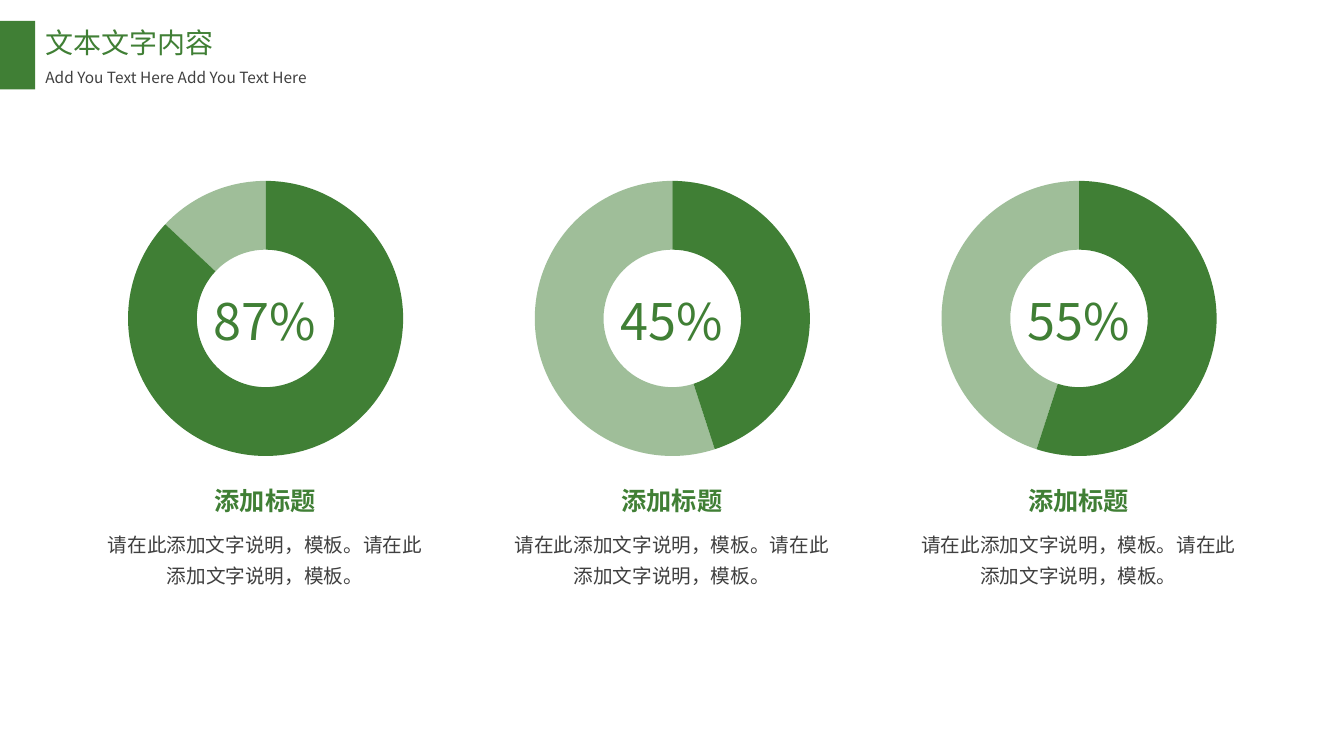
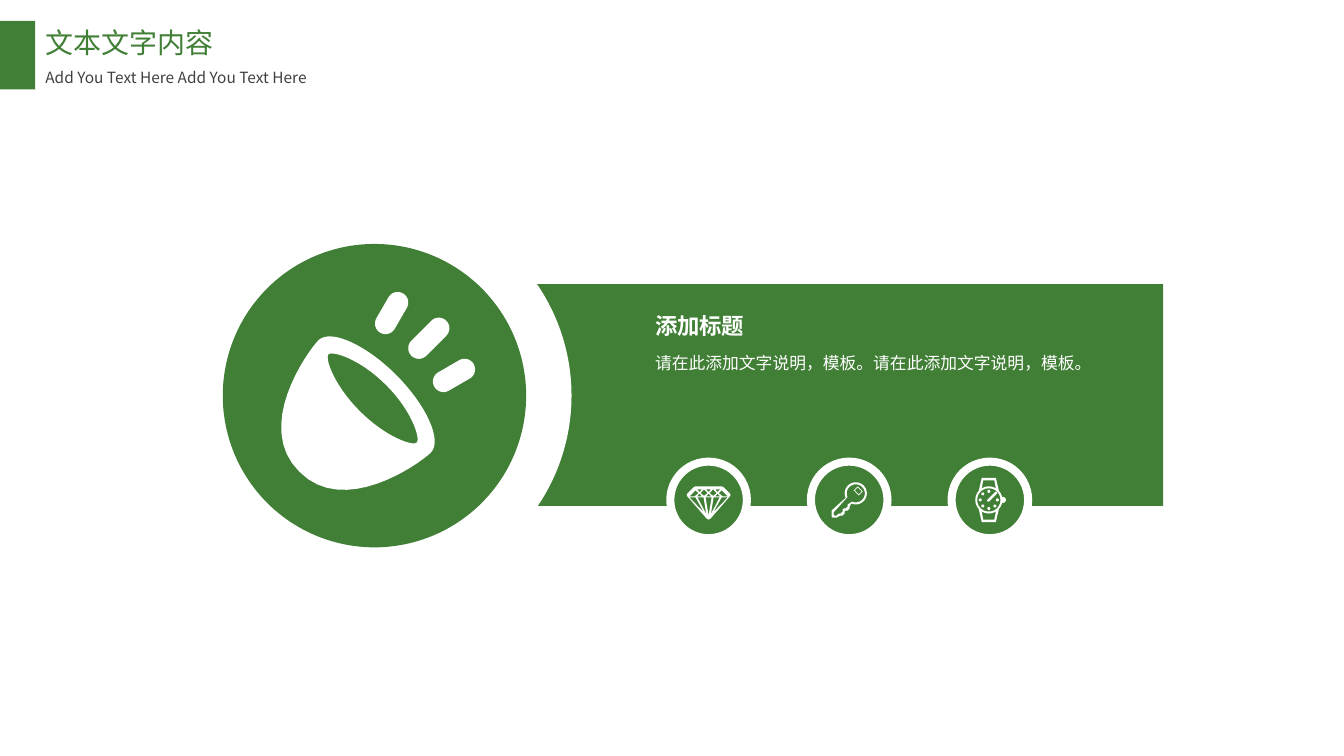
from dataclasses import dataclass
from itertools import product
from math import atan2, cos, degrees, radians, sin
from lxml.etree import SubElement
from pptx import Presentation
from pptx.chart.data import CategoryChartData as Data
from pptx.dml.color import RGBColor as RGB
from pptx.enum.chart import XL_CHART_TYPE as Kind
from pptx.enum.shapes import MSO_SHAPE as Form
from pptx.enum.text import MSO_ANCHOR as Anchor, MSO_AUTO_SIZE as Fit, PP_ALIGN as Align
from pptx.oxml.ns import qn
from pptx.util import Inches, Pt


@dataclass(frozen=True)
class Theme:
    green: RGB = RGB(0x40, 0x7F, 0x35)
    white: RGB = RGB(255, 255, 255)
    gray: RGB = RGB(0x40, 0x40, 0x40)
    black: RGB = RGB(0, 0, 0)
    face: str = "Noto Sans CJK SC"
    plain: str = "Calibri"
    huge: int = 36
    title: int = 20
    head: int = 18
    lead: int = 16
    body: int = 14
    note: int = 12
    small: int = 11
    loose: float = 1.3
    rim: float = 5.75


@dataclass(frozen=True)
class Box:
    left: float
    top: float
    wide: float
    high: float

    def sub(self, left, top, wide, high):
        return Box(self.left + left, self.top + top, wide, high)

    def mid(self):
        return self.left + self.wide / 2, self.top + self.high / 2

    def emu(self):
        return [cell(n) for n in (self.left, self.top, self.wide, self.high)]


def cell(count):
    return Inches(count / 10)


THEME = Theme()
PAGE = Box(0, 0, 133.33, 75)
LABEL = "添加标题"
BLURB = "请在此添加文字说明，模板。" * 2


def write(shape, text, size, color, bold=False, align=Align.LEFT, space=1.0,
          wrap=True, fit=Fit.SHAPE_TO_FIT_TEXT, anchor=Anchor.TOP):
    frame = shape.text_frame
    frame.word_wrap, frame.auto_size, frame.vertical_anchor = wrap, fit, anchor
    para = frame.paragraphs[0]
    para.alignment, para.line_spacing = align, space
    para.space_before = Pt(0)
    run = para.add_run()
    run.text = text
    font = run.font
    font.size, font.bold, font.name = Pt(size), bold, THEME.face
    font.color.rgb = color
    SubElement(run._r.get_or_add_rPr(), qn("a:ea"), typeface=THEME.face)


def label(slide, box, *args, **style):
    write(slide.shapes.add_textbox(*box.emu()), *args, **style)


def paint(shape, fill, rim=None):
    shape.shadow.inherit = False
    shape.fill.solid()
    shape.fill.fore_color.rgb = fill
    if rim:
        shape.line.color.rgb = rim
        shape.line.width = Pt(THEME.rim)
    else:
        shape.line.fill.background()


def block(slide, form, box, fill, rim=None):
    paint(slide.shapes.add_shape(form, *box.emu()), fill, rim)


def disc(slide, mid, radius, fill, rim=None):
    x, y = mid
    block(slide, Form.OVAL, Box(x - radius, y - radius, 2 * radius, 2 * radius), fill, rim)


def polar(radius, turn):
    return radius * cos(radians(turn)), radius * sin(radians(turn))


def shift(points, x, y):
    return [(a + x, b + y) for a, b in points]


def arc(radius, start, end, steps=24):
    return [polar(radius, start + (end - start) * i / steps) for i in range(steps + 1)]


def pill(foot, tip, radius):
    turn = degrees(atan2(tip[1] - foot[1], tip[0] - foot[0]))
    back = arc(radius, turn + 90, turn + 270)
    front = arc(radius, turn - 90, turn + 90)
    return shift(back, *foot) + shift(front, *tip)


def curve(start, *bends, steps=16):
    points = [start]
    for bend in bends:
        knots = [points[-1], bend[:2], bend[2:4], bend[4:]]
        for i in range(1, steps + 1):
            t = i / steps
            parts = ((1 - t) ** 3, 3 * t * (1 - t) ** 2, 3 * t * t * (1 - t), t ** 3)
            points.append(tuple(sum(p * k[a] for p, k in zip(parts, knots)) for a in (0, 1)))
    return points


def mirror(half):
    return half + [(-x, y) for x, y in reversed(half)]


def fold(half):
    return half + [(-y, -x) for x, y in reversed(half)]


def draw(slide, mid, loops):
    fine = 100
    pen = None
    for loop in loops:
        first, *rest = [(x * fine, y * fine) for x, y in loop]
        if pen:
            pen.move_to(*first)
        else:
            pen = slide.shapes.build_freeform(*first, scale=cell(0.1) / fine)
        pen.add_line_segments(rest, close=True)
    paint(pen.convert_to_shape(*(cell(n) for n in mid)), THEME.white)


def gem(slide, mid):
    table, belt, tip = -10.5, -3, 19.5
    pitch, half = 9, 2.5
    waist = (table + belt) / 2
    loops = [mirror([(0, tip), (2, tip - 1), (21.5, belt - 1), (21.5, belt - 3),
                     (15, table - 2), (13, table - 3)])]
    for col in (-pitch, 0, pitch):
        for edge, peak in ((table, waist - 1), (belt - 0.5, waist + 0.5)):
            loops.append([(col - half, edge), (col + half, edge), (col, peak)])
    for side in (-1, 1):
        col = side * pitch / 2
        loops.append([(col - 3.5, waist), (col, table), (col + 3.5, waist), (col, belt - 1)])
        loops.append([(side * x, y) for x, y in
                      ((10, waist), (13, table + 1), (19, belt - 0.5), (14, belt - 0.5))])
    for i in range(-2, 3):
        col = 8 * i
        loops.append([(col - 3, belt + 0.5), (col + 3, belt + 0.5),
                      (2.3 * i, tip - 4 - 1.5 * abs(i))])
    draw(slide, mid, loops)


def key(slide, mid):
    def blade(inset):
        points = arc(11 - inset, 156, 474)
        for step in (0, 5):
            notch = [(-6, 13), (-6, 15), (-8, 17), (-10, 17)]
            points += shift(notch, -step - inset, step - inset)
        left, foot = inset - 24, 24 - inset
        return points + [(-19, foot), (left + 1, foot), (left, foot - 1), (left, 17 + inset)]

    def slot(long, wide):
        corners = ((1, 1), (1, -1), (-1, -1), (-1, 1))
        return [(2.5 + a * long + b * wide, -2.5 + a * long - b * wide) for a, b in corners]

    loops = [blade(0), blade(2), slot(2.5, 2), slot(2, 1.5)]
    draw(slide, mid, [shift(loop, 6.5, -6.5) for loop in loops])


def watch(slide, mid):
    x, y = mid[0] - 0.1, mid[1]
    straps = []
    for side, (base, end, tall) in product((-1, 1), ((10, 7, 22), (7.5, 5.5, 19.5))):
        straps.append(mirror([(base, side * 9), (end, side * tall)]))
    draw(slide, (x, y), straps)
    disc(slide, (x + 1.4, y), 0.3, THEME.white)
    disc(slide, (x, y), 1.35, THEME.white)
    disc(slide, (x, y), 1.15, THEME.green)
    hand = -45
    for turn in range(0, 360, 45):
        if turn != hand % 360:
            a, b = polar(0.85, turn)
            disc(slide, (x + a, y + b), 0.15, THEME.white)
    draw(slide, (x, y), [pill((-0.5, 0.5), polar(10, hand), 1.2)])


def bowl(slide, mid):
    shell = curve((21, -21), (-9, -51, -44, -67, -56, -55.5), (-68, -43, -120, 31, -75, 75))
    mouth = curve((11, -11), (-15, -37, -42, -45, -46, -41.5), (-50, -38, -41, -11, -15, 15))
    loops = [fold(shell), fold(mouth)]
    for x, y, turn, length in ((10.5, -72, -60, 24), (43.5, -47.5, -45, 28), (68, -14.5, -30, 24)):
        a, b = polar(length, turn)
        loops.append(pill((x, y), (x + a, y + b), 10.5))
    draw(slide, (mid[0] + 0.05, mid[1] + 0.05), loops)


def banner(slide, box):
    title, note = slide.shapes.title, slide.placeholders[1]
    for shape, spot in ((title, box.sub(3.5, 0, 18.8, 4.4)), (note, box.sub(3.5, 3.6, 30.6, 3.4))):
        shape.left, shape.top, shape.width, shape.height = spot.emu()
    write(title, "文本文字内容", THEME.title, THEME.green, wrap=False)
    write(note, "Add You Text Here Add You Text Here", THEME.small, THEME.gray, space=THEME.loose)
    block(slide, Form.RECTANGLE, box.sub(0, 0, 3.5, 6.8), THEME.green)


def settle(chart, wide, high):
    area = next(chart._chartSpace.iter(qn("c:plotArea")))
    place = area.find(qn("c:layout"))
    if place is None:
        place = SubElement(area, qn("c:layout"))
        area.insert(0, place)
    rule = SubElement(place, qn("c:manualLayout"))
    for tag, val in (("layoutTarget", "inner"), ("xMode", "edge"), ("yMode", "edge"),
                     ("x", (1 - wide) / 2), ("y", (1 - high) / 2), ("w", wide), ("h", high)):
        SubElement(rule, qn("c:" + tag), val=str(val))


def ring(slide, box, share):
    data = Data()
    data.categories = ["1", "2"]
    data.add_series("Series 1", (share, 100 - share))
    chart = slide.shapes.add_chart(Kind.DOUGHNUT, *box.emu(), data).chart
    chart.has_legend = chart.has_title = False
    font = chart.font
    font.size, font.name, font.color.rgb = Pt(THEME.head), THEME.plain, THEME.black
    plot = chart.plots[0]
    plot.vary_by_categories = False
    series = plot.series[0]
    for i in range(2):
        look = series.points[i].format
        look.fill.solid()
        look.fill.fore_color.rgb = THEME.green
        look.line.fill.background()
    rest = list(series._element.iter(qn("a:srgbClr")))[-1]
    SubElement(rest, qn("a:alpha"), val="50000")
    next(chart._chartSpace.iter(qn("c:holeSize"))).set("val", "82")
    across = 27.3
    settle(chart, across / box.wide, across / box.high)


def column(slide, box, share):
    mid = Align.CENTER
    ring(slide, box.sub(0, 0, box.wide, 30), share)
    label(slide, box.sub(9.8, 12.3, 19, 5.7), f"{share}%", THEME.huge, THEME.green,
          align=mid, fit=Fit.NONE, anchor=Anchor.MIDDLE)
    label(slide, box.sub(13.3, 31.1, 12, 4), LABEL, THEME.head, THEME.green, bold=True, align=mid)
    label(slide, box.sub(2.6, 35.1, 33.4, 7.1), BLURB, THEME.body, THEME.gray,
          align=mid, space=THEME.loose)


def rings(slide, box):
    for i, share in enumerate((87, 45, 55)):
        column(slide, box.sub(40.35 * i, 0, 38.7, box.high), share)


def panel(slide, box):
    block(slide, Form.RECTANGLE, box, THEME.green)
    for i, icon in enumerate((gem, key, watch)):
        mid = box.sub(13.4 + 13.95 * i, 17.6, 7.6, 7.6).mid()
        disc(slide, mid, 3.8, THEME.green, THEME.white)
        icon(slide, mid)
    hub = box.sub(-35.5, -8.5, 39.1, 39.1).mid()
    for radius, fill in ((19.55, THEME.white), (15.05, THEME.green)):
        disc(slide, hub, radius, fill)
    label(slide, box.sub(10.9, 2.3, 12, 3.7), LABEL, THEME.lead, THEME.white, bold=True)
    label(slide, box.sub(10.9, 5.7, 48.2, 3.6), BLURB, THEME.note, THEME.white, space=THEME.loose)
    bowl(slide, hub)


deck = Presentation()
deck.slide_width, deck.slide_height = cell(PAGE.wide), cell(PAGE.high)
for build, box in ((rings, PAGE.sub(7, 16.6, 119.4, 42.2)), (panel, PAGE.sub(53.1, 28.2, 62.3, 22))):
    slide = deck.slides.add_slide(deck.slide_layouts[2])
    banner(slide, PAGE.sub(0, 2.06, 34.1, 6.9))
    build(slide, box)
deck.save("out.pptx")
